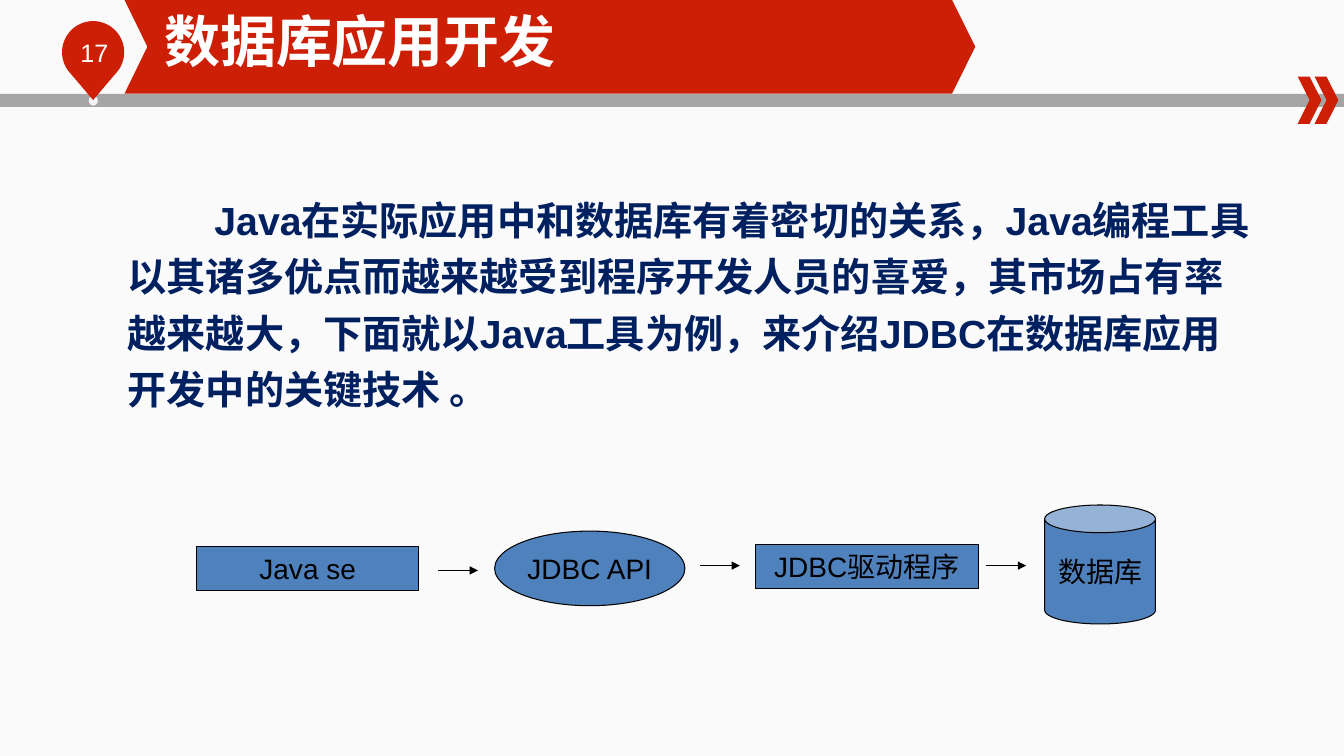
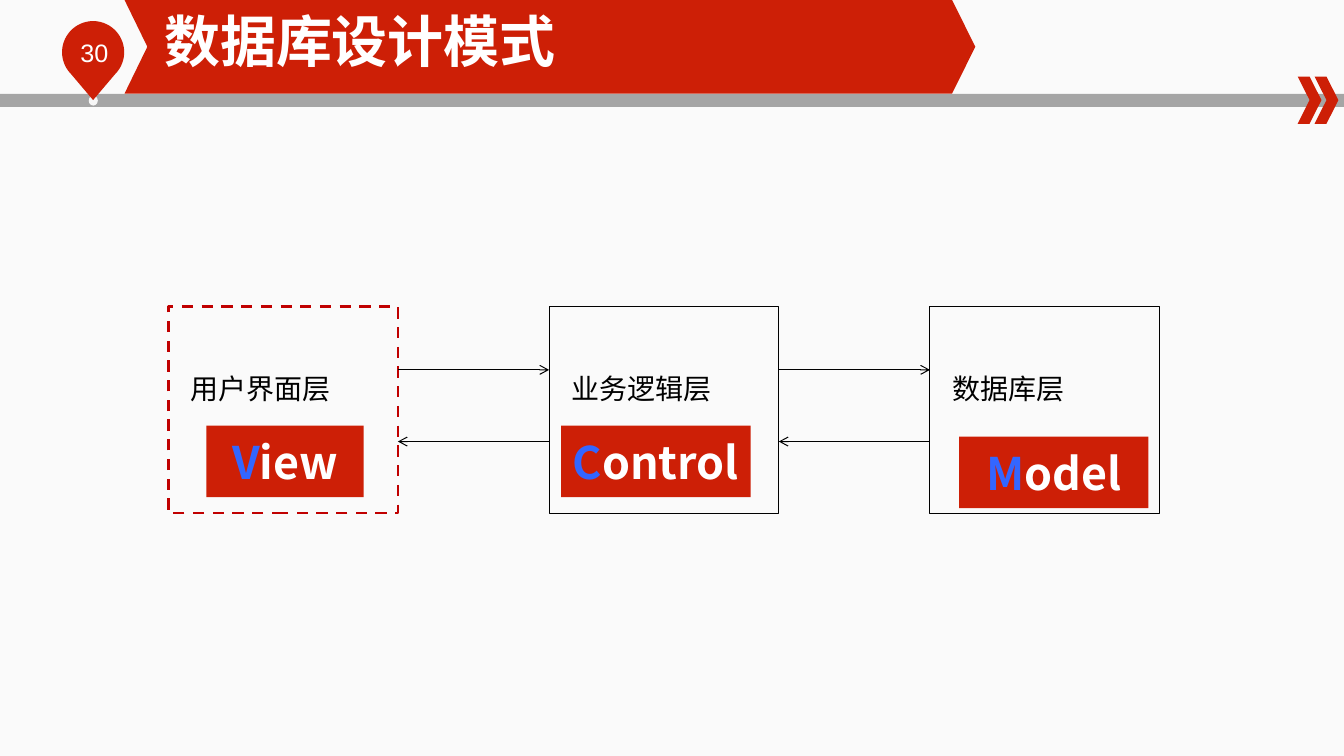
"""Build two slides on database application development and its design pattern."""
from math import cos, radians, sin

from lxml.etree import SubElement
from pptx import Presentation
from pptx.dml.color import RGBColor
from pptx.enum.dml import MSO_LINE
from pptx.enum.shapes import MSO_CONNECTOR, MSO_SHAPE
from pptx.enum.text import MSO_ANCHOR, PP_ALIGN
from pptx.oxml.ns import qn
from pptx.util import Pt

RED = RGBColor(0xCD, 0x1F, 0x06)
DARK_RED = RGBColor(0xC0, 0x00, 0x00)
GREY = RGBColor(0xA5, 0xA5, 0xA5)
PALE = RGBColor(0xF6, 0xF6, 0xF6)
BG_TOP = RGBColor(0xFA, 0xFA, 0xFA)
BG_BOTTOM = RGBColor(0xFC, 0xFC, 0xFC)
WHITE = RGBColor(0xFF, 0xFF, 0xFF)
BLACK = RGBColor(0x00, 0x00, 0x00)
NAVY = RGBColor(0x00, 0x20, 0x60)
BLUE = RGBColor(0x4F, 0x81, 0xBD)
INITIAL = RGBColor(0x33, 0x66, 0xFF)
LATIN = "Arial"
CJK = "Noto Sans CJK SC"


def style(sp, fill=None, line=None, width=0.75):
    sp.shadow.inherit = False
    if fill is None:
        sp.fill.background()
    else:
        sp.fill.solid()
        sp.fill.fore_color.rgb = fill
    if line is None:
        sp.line.fill.background()
    else:
        sp.line.color.rgb = line
        sp.line.width = Pt(width)


def write(sp, runs, size, font=LATIN, bold=False, align=PP_ALIGN.LEFT,
          anchor=MSO_ANCHOR.MIDDLE, wrap=True):
    tf = sp.text_frame
    tf.word_wrap = wrap
    tf.vertical_anchor = anchor
    p = tf.paragraphs[0]
    p.alignment = align
    for text, color in runs:
        r = p.add_run()
        r.text = text
        r.font.name = font
        r.font.size = Pt(size)
        r.font.bold = bold
        r.font.color.rgb = color
        SubElement(r.font._element, qn("a:ea")).set("typeface", CJK)
    return p


prs = Presentation()
prs.slide_width, prs.slide_height = Pt(960.5), Pt(540)

pin = [(66.6 + 22.2 * cos(radians(a)), 37.3 + 22.2 * sin(radians(a)))
       for a in range(135, 406, 5)] + [(66.6, 71.5)]
chevrons = [[(x, 54.7), (x + 8.5, 54.7), (x + 17, 71.5), (x + 8.5, 88.4),
             (x, 88.4), (x + 8.5, 71.5)] for x in (927.4, 939.5)]
banner = [(89, 0), (680.4, 0), (697, 33.4), (680.4, 66.8), (89, 66.8), (105.3, 33.4)]

slides = []
for number, title in (("17", "数据库应用开发"), ("30", "数据库设计模式")):
    s = prs.slides.add_slide(prs.slide_layouts[6])
    slides.append(s)
    fill = s.background.fill
    fill.gradient()
    fill.gradient_angle = 270
    for stop, color in zip(fill.gradient_stops, (BG_TOP, BG_BOTTOM)):
        stop.color.rgb = color

    sp = s.shapes.add_shape(MSO_SHAPE.RECTANGLE, 0, Pt(67), prs.slide_width, Pt(9.4))
    style(sp, GREY)
    sp = s.shapes.add_shape(MSO_SHAPE.OVAL, Pt(63.4), Pt(68.4), Pt(6.5), Pt(7))
    style(sp, PALE)
    for points in (pin, *chevrons, banner):
        start, *rest = [(Pt(x), Pt(y)) for x, y in points]
        builder = s.shapes.build_freeform(*start)
        builder.add_line_segments(rest)
        style(builder.convert_to_shape(), RED)

    sp = s.shapes.add_textbox(Pt(50.4), Pt(23), Pt(54.7), Pt(28.8))
    write(sp, [(number, WHITE)], 18, anchor=MSO_ANCHOR.TOP)
    sp = s.shapes.add_textbox(Pt(117.4), Pt(5), Pt(476), Pt(48))
    write(sp, [(title, WHITE)], 40, CJK, True)
    tf = sp.text_frame
    tf.margin_left = tf.margin_right = tf.margin_top = tf.margin_bottom = 0

flow, pattern = slides

sp = flow.shapes.add_textbox(Pt(84.2), Pt(130), Pt(821.5), Pt(168.5))
p = write(sp, [("Java在实际应用中和数据库有着密切的关系，Java编程工具以其诸多优点而越来越受到"
                "程序开发人员的喜爱，其市场占有率越来越大，下面就以Java工具为例，来介绍JDBC在"
                "数据库应用开发中的关键技术 。", NAVY)], 28, bold=True, anchor=MSO_ANCHOR.TOP)
p.line_spacing = Pt(40.25)
p._p.get_or_add_pPr().set("indent", str(Pt(62)))

for kind, x, y, w, h, text, wrap in (
        (MSO_SHAPE.RECTANGLE, 140.4, 390.2, 159, 31.7, "Java se", True),
        (MSO_SHAPE.OVAL, 353.5, 379.4, 136, 53.3, "JDBC API", False),
        (MSO_SHAPE.RECTANGLE, 540, 389, 159, 31.7, "JDBC驱动程序", True),
        (MSO_SHAPE.CAN, 746.6, 360.7, 79.2, 85, "数据库", False)):
    sp = flow.shapes.add_shape(kind, Pt(x), Pt(y), Pt(w), Pt(h))
    style(sp, BLUE, BLACK)
    write(sp, [(text, BLACK)], 20, align=PP_ALIGN.CENTER, wrap=wrap)

LAYER_X, LAYER_W, LAYER_STEP = 120.2, 164.2, 272.2
for i, (label, word, x, y, w) in enumerate((
        ("用户界面层", "View", 147.6, 304, 112.3),
        ("业务逻辑层", "Control", 401, 304, 135.4),
        ("数据库层", "Model", 685.4, 311.8, 135.4))):
    sp = pattern.shapes.add_shape(MSO_SHAPE.RECTANGLE, Pt(LAYER_X + i * LAYER_STEP),
                                  Pt(218.9), Pt(LAYER_W), Pt(147.6))
    if i == 0:
        style(sp, line=DARK_RED, width=2)
        sp.line.dash_style = MSO_LINE.DASH
    else:
        style(sp, line=BLACK)
    write(sp, [(label, BLACK)], 20, anchor=MSO_ANCHOR.TOP)
    sp.text_frame.margin_left = Pt(16)
    sp.text_frame.margin_top = Pt(46.5)

    sp = pattern.shapes.add_shape(MSO_SHAPE.RECTANGLE, Pt(x), Pt(y), Pt(w), Pt(51.1))
    style(sp, RED)
    write(sp, [(word[0], INITIAL), (word[1:], WHITE)], 32, CJK, True, PP_ALIGN.CENTER)

arrows = [(flow, x, x + 28.4, y, "triangle")
          for x, y in ((313.2, 407.5), (500.4, 404), (704.9, 404))]
for i in range(2):
    left = LAYER_X + LAYER_W + i * LAYER_STEP
    right = LAYER_X + (i + 1) * LAYER_STEP
    arrows += [(pattern, left, right, 264.2, "arrow"), (pattern, right, left, 315.4, "arrow")]
for s, x1, x2, y, head in arrows:
    c = s.shapes.add_connector(MSO_CONNECTOR.STRAIGHT, Pt(x1), Pt(y), Pt(x2), Pt(y))
    c.line.color.rgb = BLACK
    c.line.width = Pt(0.75)
    SubElement(c.line._get_or_add_ln(), qn("a:tailEnd")).set("type", head)
    SubElement(c._element.spPr, qn("a:effectLst"))

prs.save("out.pptx")
